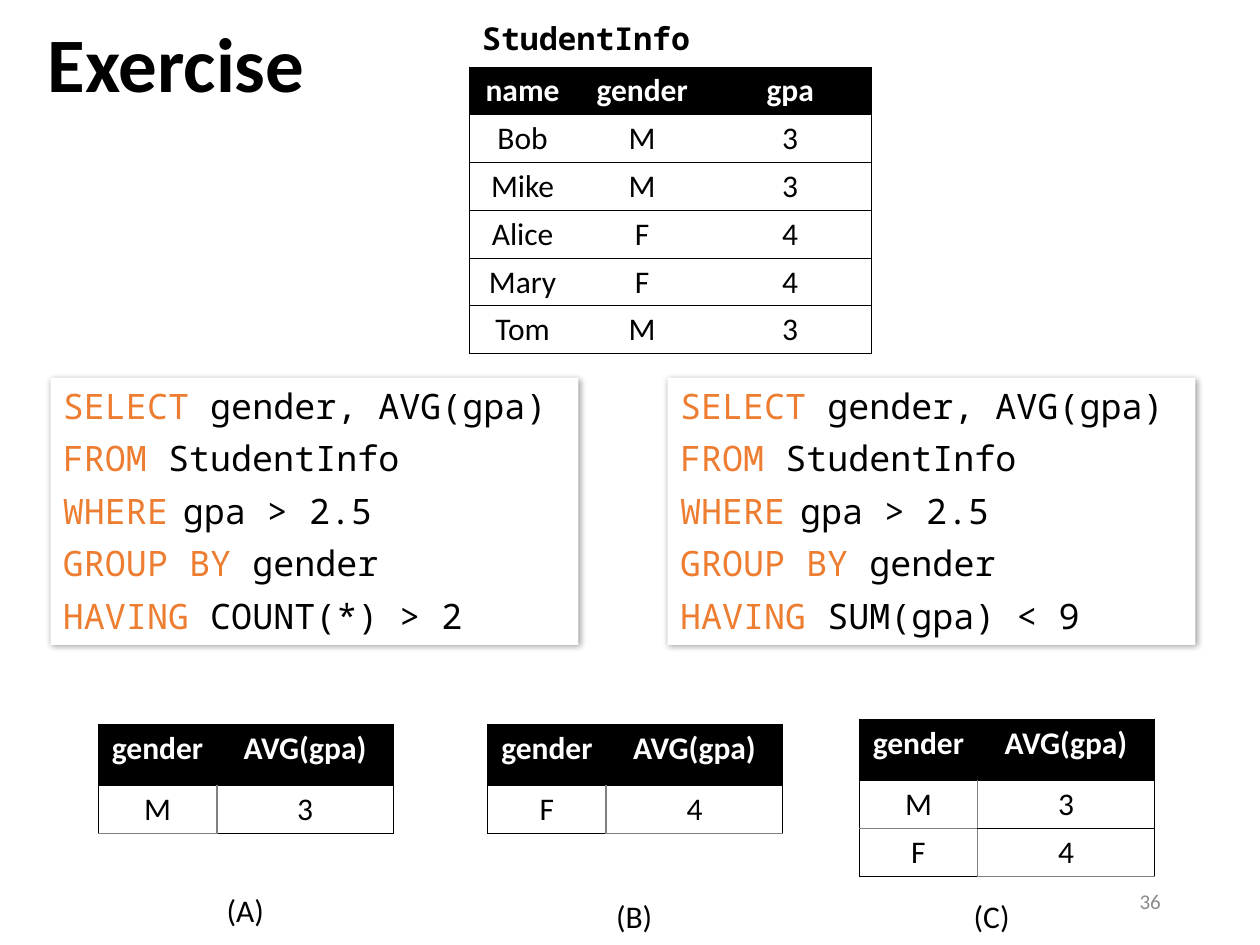
"""Build an exercise slide on SQL grouping with a source table, two queries and three answers."""
from lxml import etree
from pptx import Presentation
from pptx.dml.color import RGBColor
from pptx.enum.shapes import MSO_SHAPE
from pptx.enum.text import MSO_ANCHOR, MSO_AUTO_SIZE, PP_ALIGN
from pptx.oxml import parse_xml
from pptx.oxml.ns import nsdecls, qn
from pptx.util import Cm, Pt

LEFT, CENTER, RIGHT = PP_ALIGN.LEFT, PP_ALIGN.CENTER, PP_ALIGN.RIGHT
TOP, MIDDLE = MSO_ANCHOR.TOP, MSO_ANCHOR.MIDDLE
NO_FIT = MSO_AUTO_SIZE.NONE
RECTANGLE = MSO_SHAPE.RECTANGLE

BLACK = RGBColor(0x00, 0x00, 0x00)
WHITE = RGBColor(0xFF, 0xFF, 0xFF)
ORANGE = RGBColor(0xED, 0x7D, 0x31)
NUMBER_GREY = RGBColor(0x8C, 0x8C, 0x8C)
LINE_GREY = RGBColor(0x80, 0x80, 0x80)
SANS, MONO = "Calibri", "Noto Sans Mono"

TITLE_FONT = {"name": SANS, "size": Pt(44), "bold": True, "color": BLACK}
LABEL_FONT = {"name": MONO, "size": Pt(18), "bold": True, "color": BLACK}
NUMBER_FONT = {"name": SANS, "size": Pt(12), "color": NUMBER_GREY}
HEADER_FONT = {"name": SANS, "size": Pt(18), "bold": True, "color": WHITE}
BODY_FONT = {"name": SANS, "size": Pt(18), "bold": False, "color": BLACK}
KEYWORD_FONT = {"name": MONO, "size": Pt(20), "color": ORANGE}
CODE_FONT = KEYWORD_FONT | {"color": BLACK}
GAP_FONT = KEYWORD_FONT | {"size": Pt(14)}

STUDENTS = [
    ("name", "gender", "gpa"),
    ("Bob", "M", "3"),
    ("Mike", "M", "3"),
    ("Alice", "F", "4"),
    ("Mary", "F", "4"),
    ("Tom", "M", "3"),
]
STUDENT_COLUMNS = (2.13, 2.69, 3.28)

QUERY_START = [
    [("SELECT ", KEYWORD_FONT), ("gender, AVG(gpa)", CODE_FONT)],
    [("FROM ", KEYWORD_FONT), ("StudentInfo", CODE_FONT)],
    [("WHERE", KEYWORD_FONT), (" ", GAP_FONT), ("gpa > 2.5", CODE_FONT)],
    [("GROUP BY ", KEYWORD_FONT), ("gender", CODE_FONT)],
]
QUERIES = [(1.02, "COUNT(*) > 2"), (13.46, "SUM(gpa) < 9")]

ANSWER_HEADER = ("gender", "AVG(gpa)")
ANSWER_COLUMNS = (2.39, 3.56)
ANSWERS = [
    ("(A)", (1.98, 14.6), (4.32, 17.83), [("M", "3")]),
    ("(B)", (9.83, 14.6), (12.17, 17.96), [("F", "4")]),
    ("(C)", (17.32, 14.5), (19.38, 17.96), [("M", "3"), ("F", "4")]),
]
GREY_BOTTOM_COLUMN = {"M": 0, "F": 1}
ROW_HEIGHT, ANSWER_HEADER_HEIGHT = 0.96, 1.24
THIN, GREY = (BLACK, 0.5), (LINE_GREY, 1)


def set_values(target, values):
    for key, value in values.items():
        if key == "color":
            target.color.rgb = value
        else:
            setattr(target, key, value)


def add_run(paragraph, text, font):
    run = paragraph.add_run()
    run.text = text
    set_values(run.font, font)


def add_label(slide, text, box, font, align=LEFT, wrap=False, anchor=TOP):
    frame = slide.shapes.add_textbox(*map(Cm, box)).text_frame
    set_values(frame, {"word_wrap": wrap, "vertical_anchor": anchor})
    frame.paragraphs[0].alignment = align
    add_run(frame.paragraphs[0], text, font)


def set_borders(cell, borders):
    properties = cell._tc.get_or_add_tcPr()
    for index, side in enumerate("LRTB"):
        line = etree.Element(qn(f"a:ln{side}"))
        if borders[side]:
            color, width = borders[side]
            line.set("w", str(Pt(width)))
            fill = etree.SubElement(line, qn("a:solidFill"))
            etree.SubElement(fill, qn("a:srgbClr"), val=str(color))
        else:
            etree.SubElement(line, qn("a:noFill"))
        properties.insert(index, line)


def student_borders(row, column):
    return {
        "L": THIN if column == 0 else None,
        "R": THIN if column == len(STUDENT_COLUMNS) - 1 else None,
        "T": THIN,
        "B": THIN,
    }


def answer_borders(rows):
    def borders(row, column):
        def bottom(index):
            return GREY if GREY_BOTTOM_COLUMN.get(rows[index][0]) == column else THIN

        divider = GREY if row else None
        return {
            "L": divider if column else THIN,
            "R": THIN if column else divider,
            "T": bottom(row - 1) if row else THIN,
            "B": bottom(row),
        }

    return borders


def add_grid(slide, position, rows, widths, header_height, borders):
    heights = [header_height] + [ROW_HEIGHT] * (len(rows) - 1)
    size = (sum(widths), sum(heights))
    table = slide.shapes.add_table(
        len(rows), len(widths), *map(Cm, position + size)
    ).table
    set_values(table, {"first_row": False, "horz_banding": False})
    for column, width in zip(table.columns, widths):
        column.width = Cm(width)
    for r, (values, height) in enumerate(zip(rows, heights)):
        table.rows[r].height = Cm(height)
        for c, value in enumerate(values):
            cell = table.cell(r, c)
            set_values(cell, {
                "margin_left": Cm(0.18), "margin_right": Cm(0.18),
                "margin_top": Cm(0.1), "margin_bottom": Cm(0.1),
            })
            cell.fill.solid()
            cell.fill.fore_color.rgb = WHITE if r else BLACK
            set_borders(cell, borders(r, c))
            paragraph = cell.text_frame.paragraphs[0]
            paragraph.alignment = CENTER
            add_run(paragraph, value, BODY_FONT if r else HEADER_FONT)


def add_query(slide, left, condition):
    panel = slide.shapes.add_shape(RECTANGLE, *map(Cm, (left, 7.62, 10.64, 5.38)))
    panel.fill.solid()
    panel.fill.fore_color.rgb = WHITE
    panel.line.fill.background()
    panel._element.spPr.append(parse_xml(
        f'<a:effectLst {nsdecls("a")}><a:outerShdw blurRad="{Pt(4)}" dist="{Pt(1)}" '
        'dir="2700000" algn="tl" rotWithShape="0"><a:srgbClr val="000000">'
        '<a:alpha val="40000"/></a:srgbClr></a:outerShdw></a:effectLst>'
    ))
    frame = panel.text_frame
    set_values(frame, {"word_wrap": True, "vertical_anchor": TOP})
    lines = QUERY_START + [[("HAVING ", KEYWORD_FONT), (condition, CODE_FONT)]]
    for index, line in enumerate(lines):
        paragraph = frame.add_paragraph() if index else frame.paragraphs[0]
        paragraph.alignment = LEFT
        if index:
            paragraph.space_before = Pt(6)
        for text, font in line:
            add_run(paragraph, text, font)


def main():
    deck = Presentation()
    set_values(deck, {"slide_width": Cm(25.4), "slide_height": Cm(19.05)})
    slide = deck.slides.add_slide(deck.slide_layouts[5])

    title = slide.shapes.title
    set_values(title, {
        "left": Cm(0.71), "top": Cm(-0.48), "width": Cm(6.15), "height": Cm(3.68),
    })
    set_values(title.text_frame, {"vertical_anchor": MIDDLE, "auto_size": NO_FIT})
    heading = title.text_frame.paragraphs[0]
    set_values(heading, {"alignment": LEFT, "line_spacing": 0.9})
    add_run(heading, "Exercise", TITLE_FONT)

    add_label(slide, "36", (17.93, 17.65, 5.72, 1.02), NUMBER_FONT, RIGHT, True, MIDDLE)
    add_grid(slide, (9.47, 1.35), STUDENTS, STUDENT_COLUMNS, ROW_HEIGHT, student_borders)
    for left, condition in QUERIES:
        add_query(slide, left, condition)
    add_label(slide, "StudentInfo", (9.47, 0.25, 4.78, 1.02), LABEL_FONT)
    for caption, position, caption_position, results in ANSWERS:
        rows = [ANSWER_HEADER] + results
        add_grid(slide, position, rows, ANSWER_COLUMNS, ANSWER_HEADER_HEIGHT,
                 answer_borders(rows))
        add_label(slide, caption, caption_position + (1.27, 1.02), BODY_FONT)

    deck.save("out.pptx")


if __name__ == "__main__":
    main()
